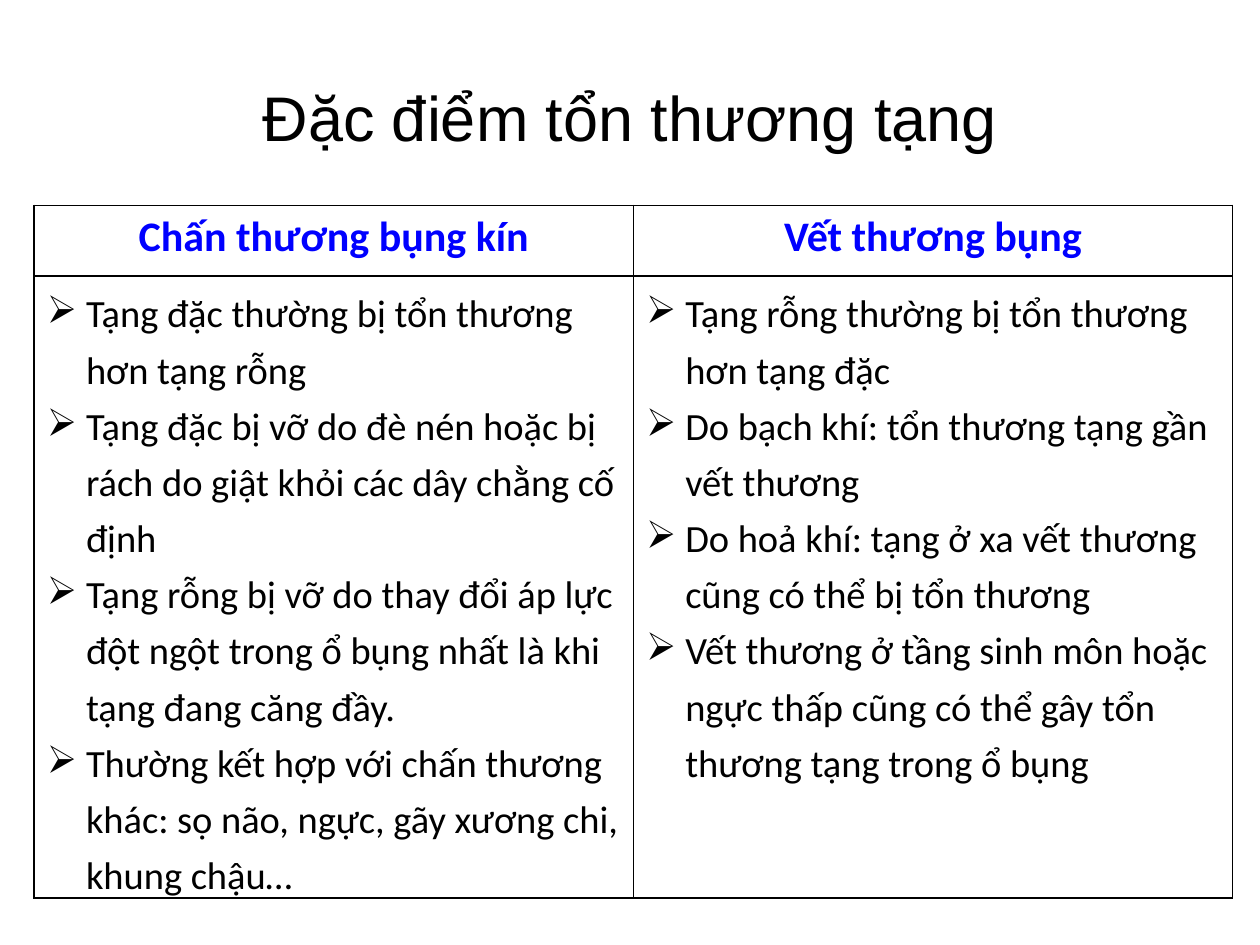
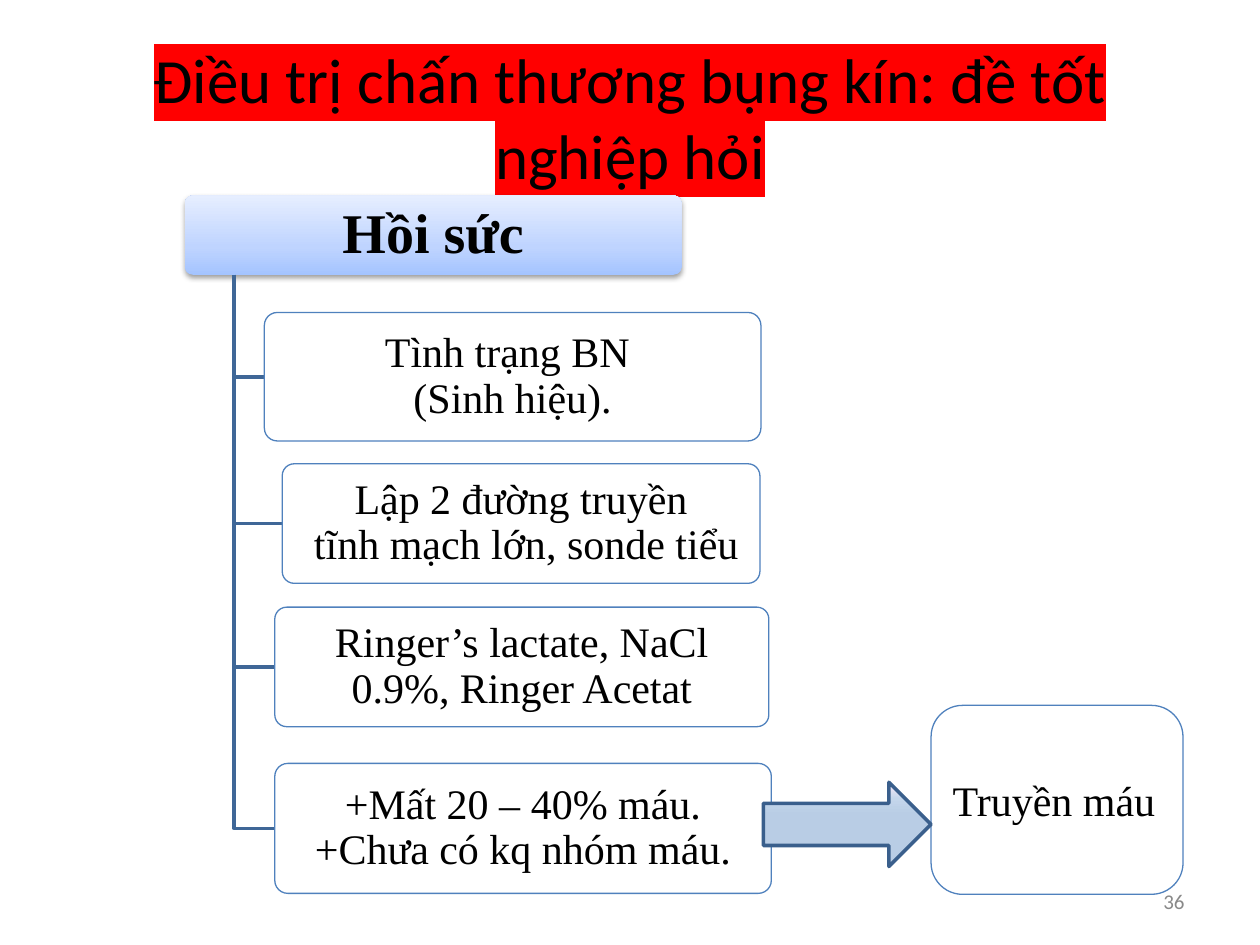
from pptx import Presentation
from pptx.dml.color import RGBColor
from pptx.enum.shapes import MSO_SHAPE as Kind
from pptx.enum.text import MSO_ANCHOR as Anchor, PP_ALIGN as Align
from pptx.oxml.ns import qn
from pptx.util import Cm, Pt
from lxml.etree import SubElement as Sub

BLACK, WHITE, BLUE, RED, GRAY = "000000", "FFFFFF", "0000FF", "FF0000", "898989"
EDGE, TREE, ARROW = "4F81BD", "3F6797", "3A5F8C"
PALE = [(0, "A4C4FF"), (35, "BFD4FF"), (100, "E6EEFF")]
STEEL = [(62, "B9CDE5"), (81, "C4D6EB"), (100, "FFEBFA")]
TITLE = {"size": Pt(36), "name": "Arial"}
ASK = {"size": Pt(36), "name": "Calibri"}
HEAD = {"size": Pt(24), "name": "Calibri", "bold": True}
BODY = {"size": Pt(22), "name": "Calibri", "bold": False}
FOOT = {"size": Pt(12), "name": "Calibri"}
ROOT = {"size": Pt(32), "name": "Times New Roman", "bold": True}
NODE = {"size": Pt(24), "name": "Times New Roman"}

HEADS = ["Chấn thương bụng kín", "Vết thương bụng"]
LISTS = [
    ["Tạng đặc thường bị tổn thương hơn tạng rỗng",
     "Tạng đặc bị vỡ do đè nén hoặc bị rách do giật khỏi các dây chằng cố định",
     "Tạng rỗng bị vỡ do thay đổi áp lực đột ngột trong ổ bụng nhất là khi "
     "tạng đang căng đầy.",
     "Thường kết hợp với chấn thương khác: sọ não, ngực, gãy xương chi, khung chậu…"],
    ["Tạng rỗng thường bị tổn thương hơn tạng đặc",
     "Do bạch khí: tổn thương tạng gần vết thương",
     "Do hoả khí: tạng ở xa vết thương cũng có thể bị tổn thương",
     "Vết thương ở tầng sinh môn hoặc ngực thấp cũng có thể gây tổn thương "
     "tạng trong ổ bụng"],
]
STEPS = [
    ("Tình trạng BN \v(Sinh hiệu).", (5.33, 6.3, 10.01, 2.59)),
    ("Lập 2 đường truyền\v tĩnh mạch lớn, sonde tiểu", (5.69, 9.35, 9.63, 2.41)),
    ("Ringer’s lactate, NaCl 0.9%, Ringer Acetat", (5.54, 12.24, 9.96, 2.41)),
    ("+Mất 20 – 40% máu.\v+Chưa có kq nhóm máu.", (5.54, 15.39, 10.01, 2.62)),
]


def tint(code):
    """Turn a hex string into a colour."""
    return RGBColor.from_string(code)


def shade(node, code, alpha=None):
    """Add a hex colour, with an optional opacity, to an XML node."""
    clr = Sub(node, qn("a:srgbClr"), val=code)
    if alpha:
        Sub(clr, qn("a:alpha"), val=str(alpha * 1000))


class Deck:
    """Hold the style and the current slide."""

    def __init__(self):
        """Start an empty deck."""
        self.prs = Presentation()
        self.prs.slide_width, self.prs.slide_height = Cm(25.4), Cm(19.05)

    def page(self):
        """Open a new blank slide."""
        self.shapes = self.prs.slides.add_slide(self.prs.slide_layouts[6]).shapes

    def para(self, par, text, style, hue=BLACK, align=Align.CENTER, space=None):
        """Fill one paragraph with styled text."""
        par.text = text
        par.alignment, par.line_spacing = align, space
        for run in par.runs:
            for key, val in style.items():
                setattr(run.font, key, val)
            run.font.color.rgb = tint(hue)

    def frame(self, shape, pad=(0.25, 0.13)):
        """Set wrapping, anchor and insets of a shape's text."""
        box = shape.text_frame
        box.word_wrap, box.vertical_anchor = True, Anchor.MIDDLE
        box.margin_left = box.margin_right = Cm(pad[0])
        box.margin_top = box.margin_bottom = Cm(pad[1])
        return box.paragraphs[0]

    def label(self, text, at, style, **look):
        """Add a text box."""
        par = self.frame(self.shapes.add_textbox(*map(Cm, at)))
        self.para(par, text, style, **look)
        return par

    def title(self, text, style, mark=None):
        """Add the slide title, with an optional highlight."""
        par = self.label(text, (1.27, 0.76, 22.86, 3.18), style)
        if mark:
            props = par.runs[0].font._element
            glow = Sub(props, qn("a:highlight"))
            shade(glow, mark)
            props.find(qn("a:solidFill")).addnext(glow)

    def block(self, kind, at, fill=None, line=None, width=0.75, round=None):
        """Add a preset shape with a plain, graded or empty fill."""
        shape = self.shapes.add_shape(kind, *map(Cm, at))
        shape.shadow.inherit = False
        if round:
            shape.adjustments[0] = round
        if isinstance(fill, list):
            self.grade(shape, fill)
        elif fill:
            shape.fill.solid()
            shape.fill.fore_color.rgb = tint(fill)
        else:
            shape.fill.background()
        self.edge(shape, line, width)
        return shape

    def edge(self, shape, line, width):
        """Set the outline of a shape."""
        if line:
            shape.line.color.rgb, shape.line.width = tint(line), Pt(width)
        else:
            shape.line.fill.background()

    def grade(self, shape, stops):
        """Give a shape an upward gradient."""
        shape.fill.gradient()
        shape.fill.gradient_angle = 90
        group = shape._element.spPr.find(qn("a:gradFill")).find(qn("a:gsLst"))
        for old in list(group):
            group.remove(old)
        for pos, code in stops:
            shade(Sub(group, qn("a:gs"), pos=str(pos * 1000)), code)

    def shadow(self, shape):
        """Drop a soft shadow below a shape."""
        spot = shape._element.spPr.find(qn("a:effectLst"))
        drop = Sub(spot, qn("a:outerShdw"), blurRad=str(Pt(3.1)), dist=str(Pt(1.6)),
                   dir="5400000", rotWithShape="0")
        shade(drop, BLACK, 38)

    def elbow(self, left, top, right, low):
        """Draw a line down and then right."""
        pen = self.shapes.build_freeform(Cm(left), Cm(top))
        pen.add_line_segments([(Cm(left), Cm(low)), (Cm(right), Cm(low))], close=False)
        shape = pen.convert_to_shape()
        shape.shadow.inherit = False
        shape.fill.background()
        self.edge(shape, TREE, 2)

    def bullet(self, par, text):
        """Write one arrow bullet."""
        props = par._p.get_or_add_pPr()
        props.set("marL", str(Cm(0.79)))
        props.set("indent", str(-Cm(0.79)))
        Sub(props, qn("a:buChar"), char="➢")
        self.para(par, text, BODY, align=Align.LEFT, space=1.2)

    def border(self, cell):
        """Clear a cell's fill and rule its four sides."""
        cell.fill.background()
        props = cell._tc.get_or_add_tcPr()
        for spot, side in enumerate("LRTB"):
            rule = Sub(props, qn(f"a:ln{side}"), w=str(Pt(1)))
            shade(Sub(rule, qn("a:solidFill")), BLACK)
            props.insert(spot, rule)

    def table(self, heads, lists, at, rows):
        """Add a table of headed bullet lists."""
        grid = self.shapes.add_table(2, len(heads), *map(Cm, at)).table
        grid.first_row = grid.horz_banding = False
        for row, high in zip(grid.rows, rows):
            row.height = Cm(high)
        for col, (head, items) in enumerate(zip(heads, lists)):
            top, low = grid.cell(0, col), grid.cell(1, col)
            self.para(top.text_frame.paragraphs[0], head, HEAD, BLUE)
            box = low.text_frame
            for num, item in enumerate(items):
                self.bullet(box.add_paragraph() if num else box.paragraphs[0], item)
            self.border(top)
            self.border(low)


def organs(deck):
    """Build the slide that compares organ injuries."""
    deck.page()
    deck.title("Đặc điểm tổn thương tạng", TITLE)
    deck.table(HEADS, LISTS, (0.69, 4.14, 24.16, 13.82), (1.42, 12.4))


def care(deck):
    """Build the slide with the treatment tree."""
    deck.page()
    deck.title("Điều trị chấn thương bụng kín: đề tốt nghiệp hỏi", ASK, RED)
    deck.label("36", (18.21, 17.65, 5.92, 1.02), FOOT, hue=GRAY, align=Align.RIGHT)
    root = deck.block(Kind.ROUNDED_RECTANGLE, (3.73, 3.94, 10.01, 1.6), PALE, round=0.1)
    deck.shadow(root)
    deck.para(deck.frame(root, (0.18, 0.1)), "Hồi sức", ROOT, space=0.9)
    for text, at in STEPS:
        left, top, wide, high = at
        deck.elbow(4.72, 5.54, left, top + high / 2)
        step = deck.block(Kind.ROUNDED_RECTANGLE, at, WHITE, EDGE, round=0.1)
        deck.para(deck.frame(step, (0.13, 0.08)), text, NODE, space=0.9)
    blood = deck.block(Kind.ROUNDED_RECTANGLE, (18.77, 14.22, 5.08, 3.81), line=EDGE)
    deck.para(deck.frame(blood), "Truyền máu", NODE, align=Align.LEFT)
    deck.block(Kind.RIGHT_ARROW, (15.39, 15.77, 3.38, 1.7), STEEL, ARROW, 2)


def main():
    """Build and save the deck."""
    deck = Deck()
    organs(deck)
    care(deck)
    deck.prs.save("out.pptx")


if __name__ == "__main__":
    main()
